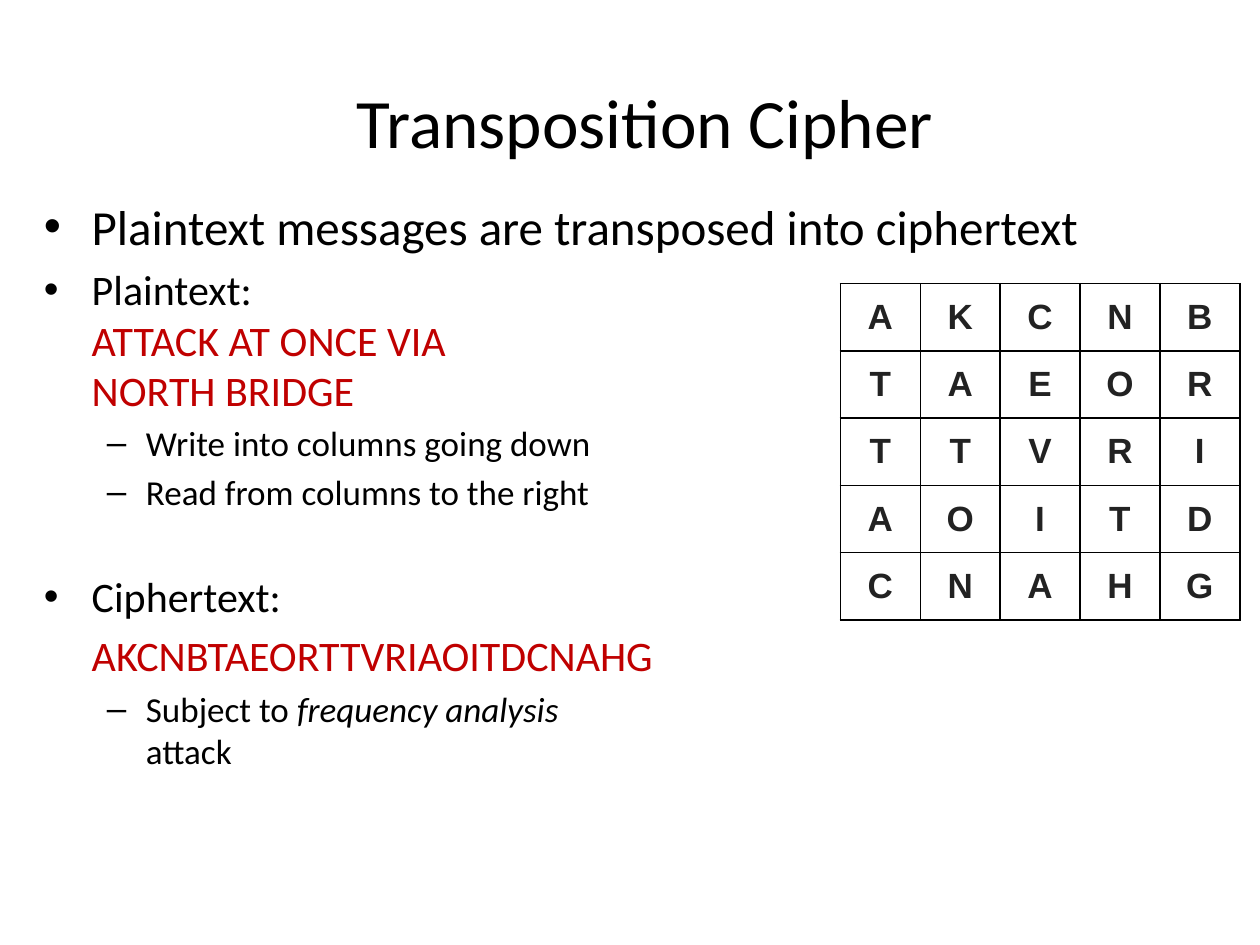
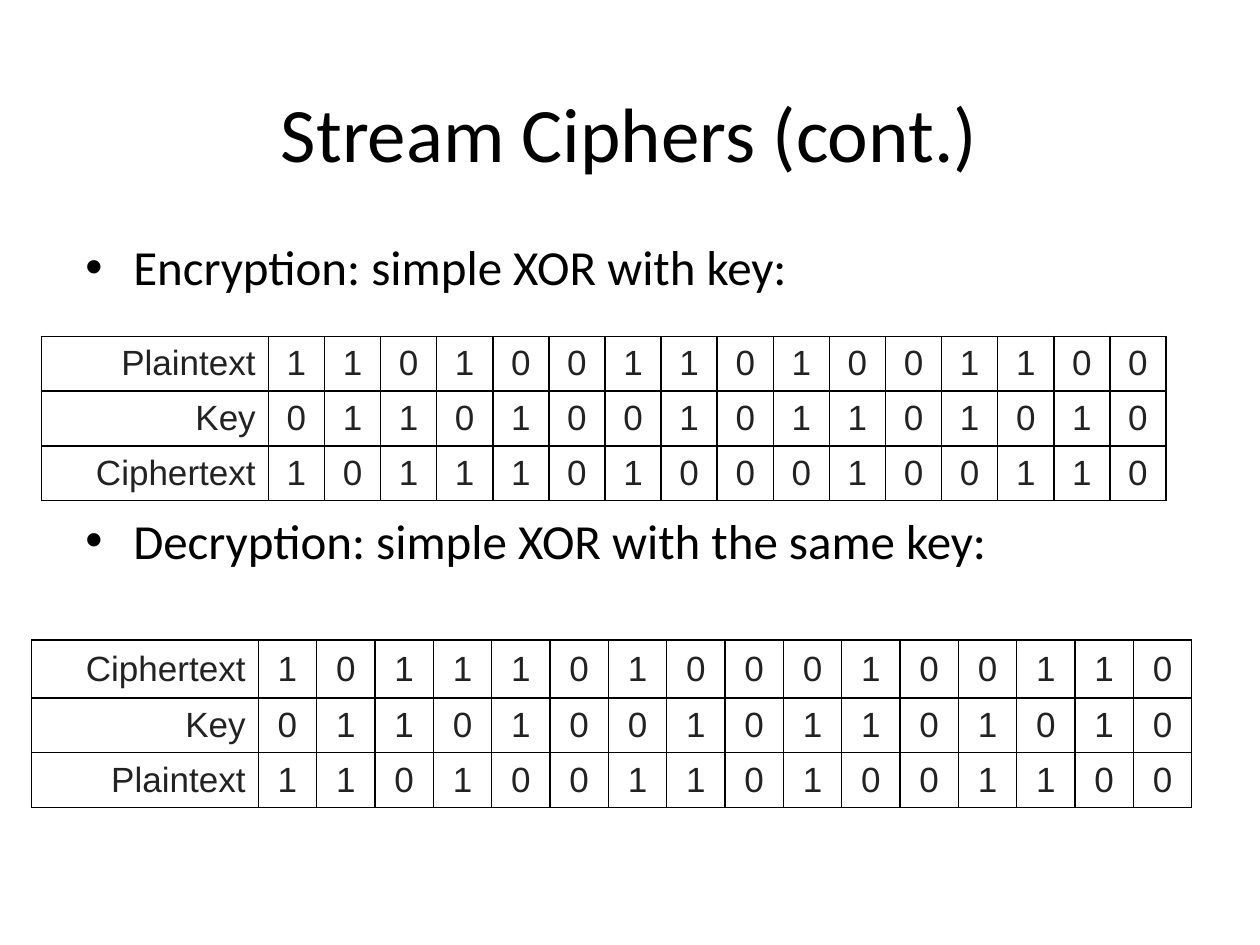
import pptx
import pptx.util
import pptx.dml.color
import pptx.enum.text
import pptx.oxml
import pptx.oxml.ns
from lxml import etree

Inches, Pt = pptx.util.Inches, pptx.util.Pt
ALIGN = pptx.enum.text.PP_ALIGN
MIDDLE = pptx.enum.text.MSO_ANCHOR.MIDDLE

INK, ACCENT, CELL_INK = "000000", "C00000", "222222"
BODY_FONT, CELL_FONT = "Calibri", "Arial"
LEVELS = {0: (0.38, 0.38, "•"), 1: (0.81, 0.31, "–")}
LABEL_WIDTH = 1.8

CIPHERTEXT = "AKCNBTAEORTTVRIAOITDCNAHG"
GRID_SIZE = 5
PLAIN_BITS = "1101001101001100"
KEY_BITS = "0110100101101010"


def color(hex_code):
    return pptx.dml.color.RGBColor.from_string(hex_code)


def sub(parent, tag, **attributes):
    return etree.SubElement(parent, pptx.oxml.ns.qn(tag), attributes)


def add_run(paragraph, text, size, ink=INK, font=BODY_FONT, bold=False, italic=False):
    run = paragraph.add_run()
    run.text = text
    run.font.size = Pt(size)
    run.font.name = font
    run.font.bold = bold
    run.font.italic = italic
    run.font.color.rgb = color(ink)


def add_text_frame(slide, box):
    frame = slide.shapes.add_textbox(*map(Inches, box)).text_frame
    frame.word_wrap = True
    return frame


def add_title(slide, box, text, size):
    frame = add_text_frame(slide, box)
    frame.vertical_anchor = MIDDLE
    heading = frame.paragraphs[0]
    heading.alignment = ALIGN.CENTER
    add_run(heading, text, size)


def set_bullet(paragraph, level, bulleted):
    margin, hang, mark = LEVELS[level]
    properties = paragraph._p.get_or_add_pPr()
    properties.set("marL", str(Inches(margin)))
    properties.set("indent", str(-Inches(hang) if bulleted else 0))
    if bulleted:
        sub(properties, "a:buFont", typeface="Arial")
        sub(properties, "a:buChar", char=mark)
    else:
        sub(properties, "a:buNone")


def add_points(slide, box, points):
    frame = add_text_frame(slide, box)
    for index, (level, size, lines, bulleted, gap) in enumerate(points):
        point = frame.paragraphs[0] if index == 0 else frame.add_paragraph()
        point.level = level
        point.space_before = Pt(round(0.2 * size + gap, 1))
        set_bullet(point, level, bulleted)
        for number, line in enumerate(lines):
            if number:
                point.add_line_break()
            for text, style in line:
                add_run(point, text, size, **style)


def style_cell(cell, text, alignment, bold):
    cell.vertical_anchor = MIDDLE
    properties = cell._tc.get_or_add_tcPr()
    for side in ("a:lnL", "a:lnR", "a:lnT", "a:lnB"):
        border = sub(properties, side, w=str(Pt(1)))
        sub(sub(border, "a:solidFill"), "a:srgbClr", val=INK)
    cell.fill.background()
    paragraph = cell.text_frame.paragraphs[0]
    paragraph.alignment = alignment
    add_run(paragraph, text, 20, CELL_INK, CELL_FONT, bold)


def add_grid(slide, box, rows, widths, heights, bold=False, labelled=False):
    table = slide.shapes.add_table(len(rows), len(widths), *map(Inches, box)).table
    table.first_row = table.horz_banding = False
    for column, width in zip(table.columns, widths):
        column.width = Inches(width)
    for row, height in zip(table.rows, heights):
        row.height = Inches(height)
    for r, row in enumerate(rows):
        for c, text in enumerate(row):
            alignment = ALIGN.RIGHT if labelled and c == 0 else ALIGN.CENTER
            style_cell(table.cell(r, c), text, alignment, bold)


def add_bit_table(slide, box, streams, heights):
    rows = [[label, *bits] for label, bits in streams]
    bit_count = len(PLAIN_BITS)
    bit_width = (box[2] - LABEL_WIDTH) / bit_count
    add_grid(slide, box, rows, [LABEL_WIDTH] + [bit_width] * bit_count, heights, labelled=True)


def build_transposition(slide):
    add_title(slide, (0.83, 0.67, 8.58, 0.58), "Transposition Cipher", 39.6)
    red = {"ink": ACCENT}
    add_points(slide, (0.25, 1.51, 9.5, 4.91), [
        (0, 28, [[("Plaintext messages are transposed into ciphertext", {})]], True, 0),
        (0, 24, [[("Plaintext:", {})],
                 [("ATTACK AT ONCE VIA", red)],
                 [("NORTH BRIDGE", red)]], True, 0),
        (1, 20, [[("Write into columns going down", {})]], True, 0),
        (1, 20, [[("Read from columns to the right", {})]], True, 0),
        (0, 24, [[("Ciphertext:", {})]], True, 28.4),
        (0, 24, [[(CIPHERTEXT, red)]], False, 0),
        (1, 20, [[("Subject to ", {}), ("frequency analysis", {"italic": True})],
                 [("attack", {})]], True, 0),
    ])
    box = (6.67, 2.25, 3.17, 2.67)
    letters = [CIPHERTEXT[i:i + GRID_SIZE] for i in range(0, len(CIPHERTEXT), GRID_SIZE)]
    add_grid(slide, box, letters, [box[2] / GRID_SIZE] * GRID_SIZE,
             [box[3] / GRID_SIZE] * GRID_SIZE, bold=True)


def build_stream_ciphers(slide):
    add_title(slide, (0.58, 0.42, 8.83, 1.25), "Stream Ciphers (cont.)", 44)
    add_points(slide, (0.58, 1.83, 8.31, 5), [
        (0, 28, [[("Encryption: simple XOR with key:", {})]], True, 0),
        (0, 28, [[("Decryption: simple XOR with the same key:", {})]], True, 117),
    ])
    cipher_bits = "".join(str(int(p != k)) for p, k in zip(PLAIN_BITS, KEY_BITS))
    streams = [("Plaintext", PLAIN_BITS), ("Key", KEY_BITS), ("Ciphertext", cipher_bits)]
    add_bit_table(slide, (0.33, 2.67, 8.93, 1.23), streams, [0.41] * 3)
    add_bit_table(slide, (0.25, 5.08, 9.21, 1.28), streams[::-1], [0.46, 0.41, 0.41])


def main():
    deck = pptx.Presentation()
    deck.slide_width, deck.slide_height = Inches(10), Inches(7.5)
    for build in (build_transposition, build_stream_ciphers):
        build(deck.slides.add_slide(deck.slide_layouts[6]))
    deck.save("out.pptx")


if __name__ == "__main__":
    main()
